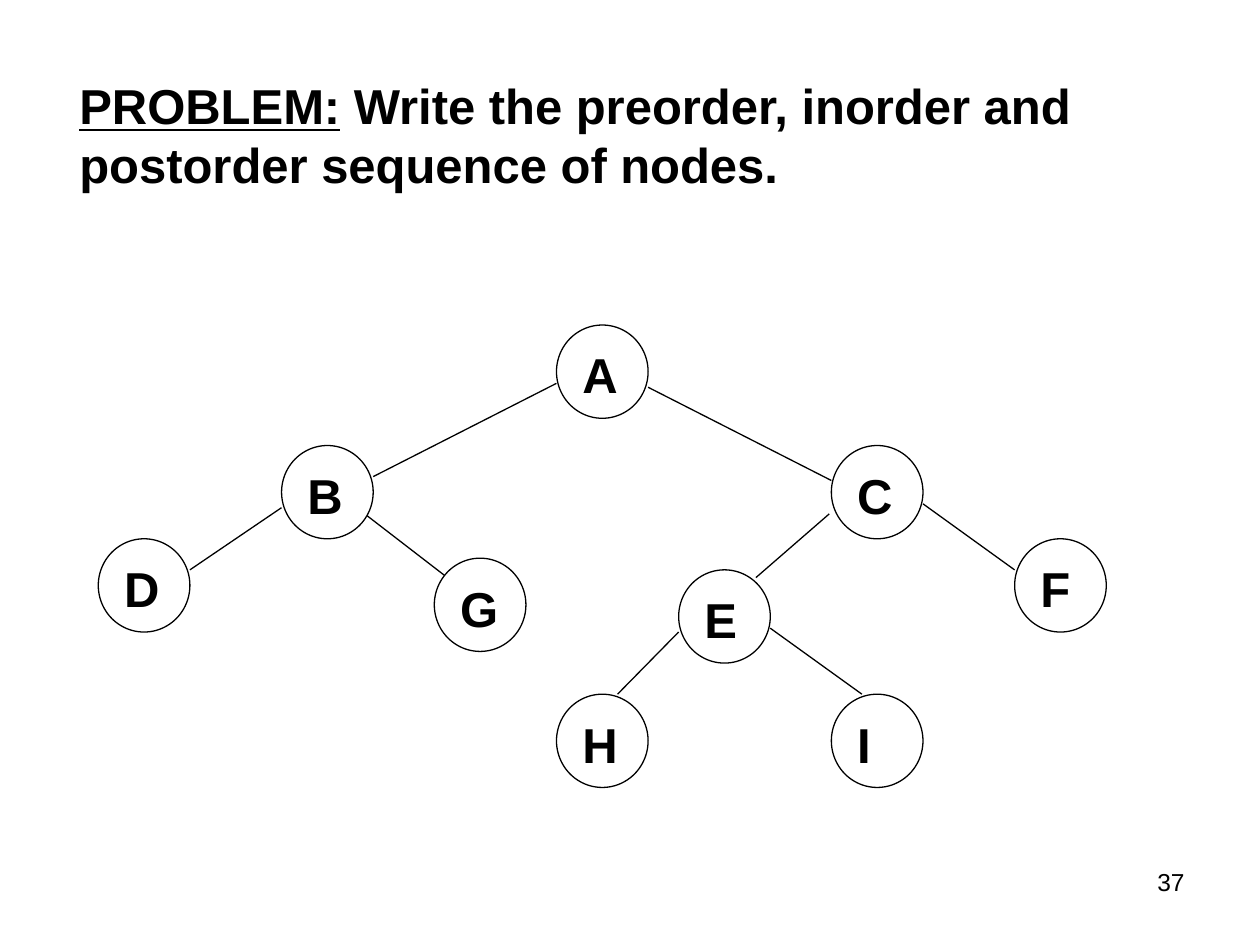
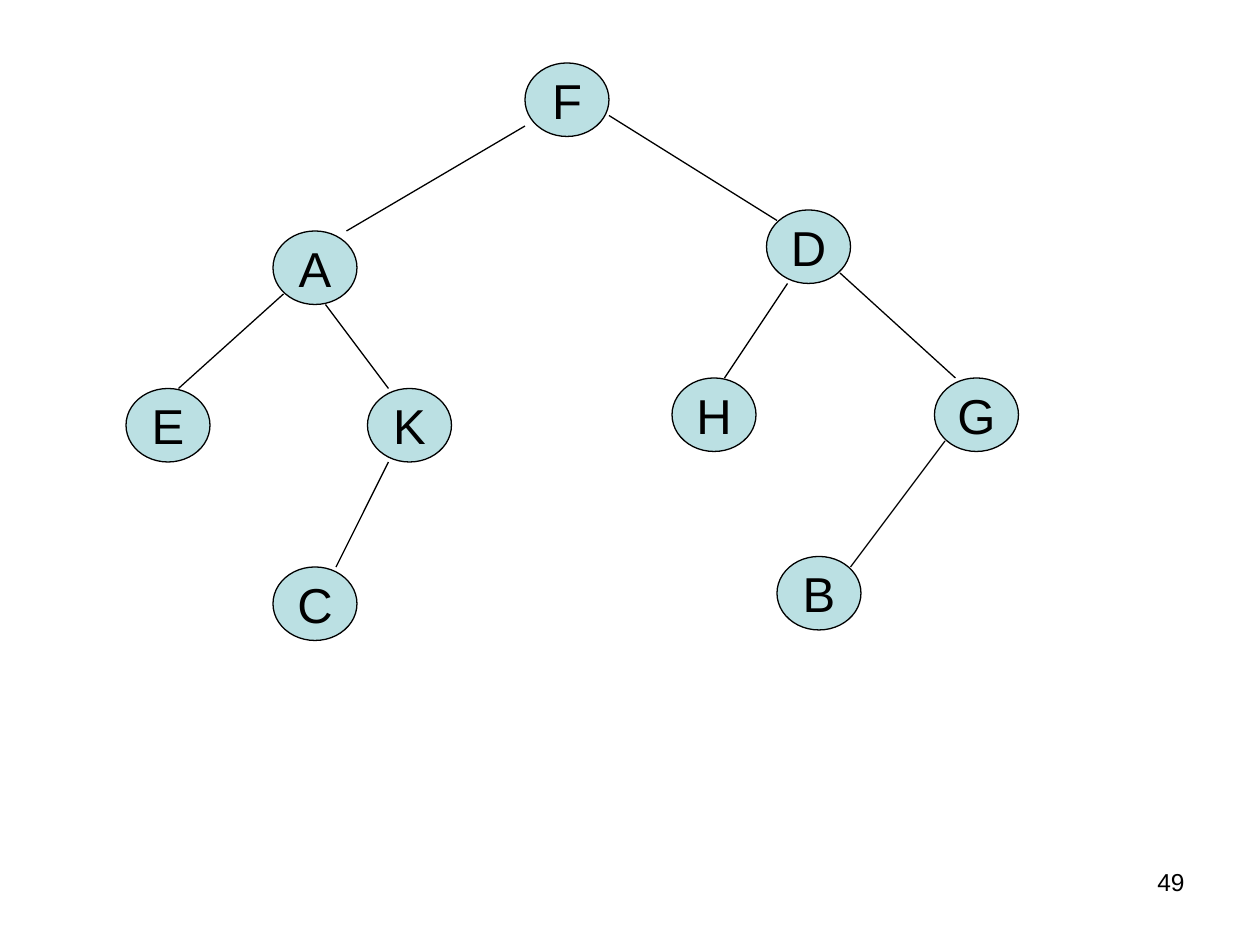
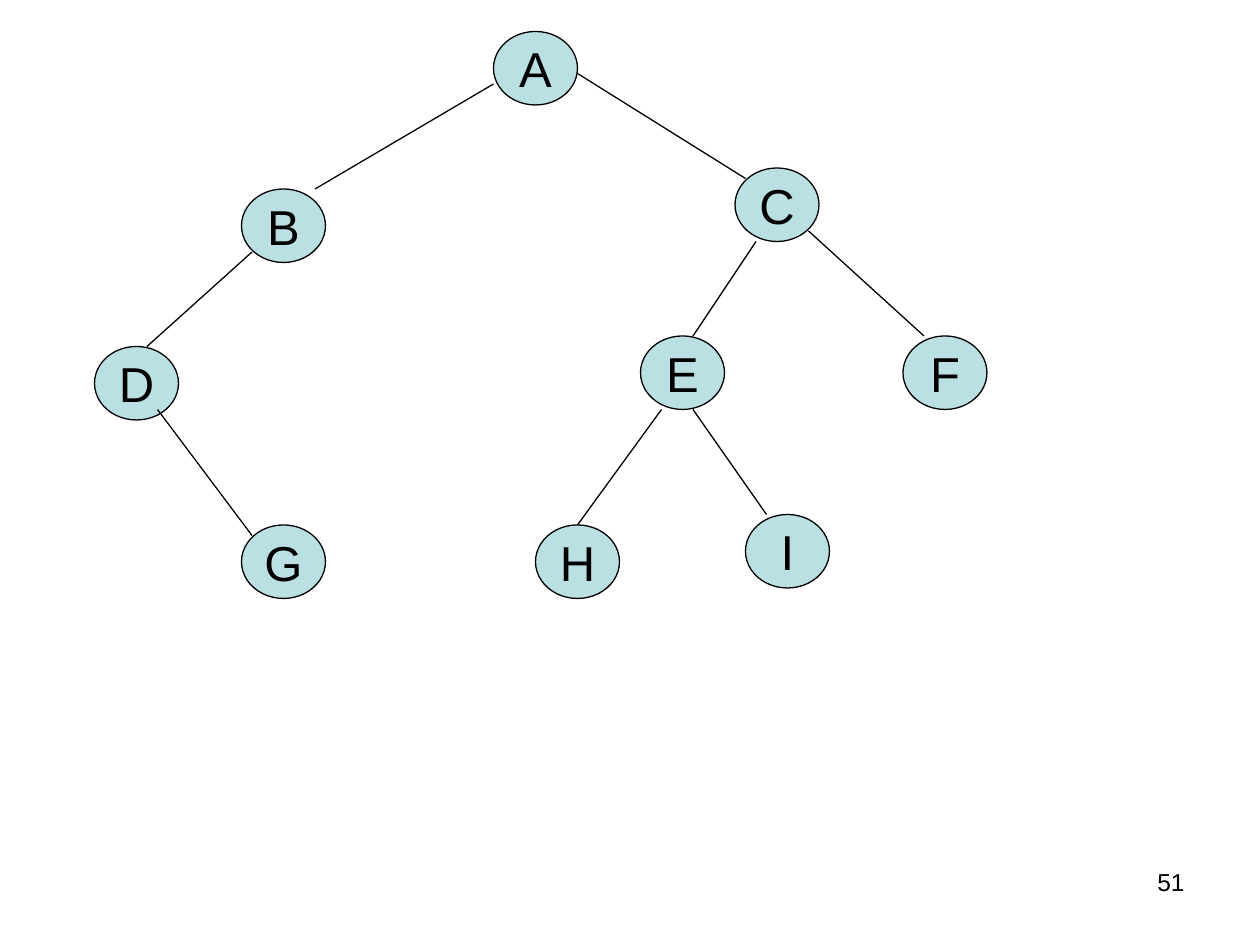
from dataclasses import dataclass

from lxml.etree import SubElement
from pptx import Presentation
from pptx.dml.color import RGBColor
from pptx.enum.shapes import MSO_CONNECTOR as Conn, MSO_SHAPE as Shape
from pptx.enum.text import MSO_ANCHOR as Anchor, MSO_AUTO_SIZE as Auto, PP_ALIGN as Align
from pptx.oxml.ns import qn
from pptx.util import Inches, Pt

WIDE, HIGH = 10, 7.5
FONT = "Arial"
COLORS = {"ink": "000000", "paper": "FFFFFF", "node": "BBE0E3"}


@dataclass
class Style:
    """Box and grid of a tree, and the look of its nodes."""
    box: tuple      # left, top, width, height in inches
    grid: tuple     # columns, rows
    node: tuple     # node size in columns, rows
    fill: str
    bold: bool
    mid: bool       # letters centred in the nodes
    under: bool     # edges lie below the nodes


PLAIN = Style((0.78, 2.58, 8, 3.67), (33, 119), (3, 24), "paper", True, False, True)
TINT = Style((0, 0, WIDE, HIGH), (120, 90), (8, 7), "node", False, True, False)

# Nodes: letter -> column, row.  Edges: start column, row, end column, row.
TASK = (
    {"A": (15, 0), "B": (6, 31), "C": (24, 31), "D": (0, 55), "G": (11, 60),
     "E": (19, 63), "F": (30, 55), "H": (15, 95), "I": (24, 95)},
    [(15, 15, 9, 39), (6, 47, 3, 63), (7.47, 41, 11.43, 65), (18, 16, 24, 40),
     (27, 46, 30, 63), (23.93, 48.6, 21.53, 65), (19, 79, 17, 95), (22, 78, 25, 95)],
)
FIRST = (
    {"F": (50, 6), "A": (26, 22), "D": (73, 20), "E": (12, 37), "K": (35, 37),
     "H": (64, 36), "G": (89, 36), "C": (26, 54), "B": (74, 53)},
    [(50, 12, 33, 22), (27, 28, 17, 37), (31, 29, 37, 37), (37, 44, 32, 54),
     (58, 11, 74, 21), (75, 27, 69, 36), (80, 26, 91, 36), (90, 42, 81, 54)],
)
SECOND = (
    {"A": (47, 3), "B": (23, 18), "C": (70, 16), "D": (9, 33), "E": (61, 32),
     "F": (86, 32), "G": (23, 50), "H": (51, 50), "I": (71, 49)},
    [(47, 8, 30, 18), (24, 24, 14, 33), (15, 39, 24, 51), (55, 7, 71, 17),
     (72, 23, 66, 32), (77, 22, 88, 32), (63, 39, 55, 50), (66, 39, 73, 49)],
)


def tone(name):
    return RGBColor.from_string(COLORS[name])


def add_run(para, text, size, bold=False, under=False):
    run = para.add_run()
    run.text = text
    font = run.font
    font.name, font.size, font.bold, font.underline = FONT, Pt(size), bold, under
    font.color.rgb = tone("ink")


def set_line(line):
    line.color.rgb = tone("ink")
    line.width = Pt(0.75)


def add_title(slide, box, parts):
    title = slide.shapes.title
    title.left, title.top, title.width, title.height = map(Inches, box)
    frame = title.text_frame
    frame.auto_size = Auto.NONE
    frame.word_wrap = True
    frame.vertical_anchor = Anchor.TOP
    para = frame.paragraphs[0]
    para.alignment = Align.LEFT
    for text, under in parts:
        add_run(para, text, 28, True, under)


def add_number(slide, num):
    box = slide.shapes.add_textbox(*map(Inches, (7.17, 6.83, 2.33, 0.52)))
    box.text_frame.word_wrap = True
    para = box.text_frame.paragraphs[0]
    para.alignment = Align.RIGHT
    add_run(para, str(num), 14)


def add_tree(slide, style, nodes, edges):
    left, top, width, height = style.box
    cols, rows = style.grid

    def spot(col, row):
        return Inches(left + col * width / cols), Inches(top + row * height / rows)

    size = [Inches(span * count / total) for span, count, total
            in zip((width, height), style.node, style.grid)]

    def draw_nodes():
        for name, cell in nodes.items():
            oval = slide.shapes.add_shape(Shape.OVAL, *spot(*cell), *size)
            oval.shadow.inherit = False
            oval.fill.solid()
            oval.fill.fore_color.rgb = tone(style.fill)
            set_line(oval.line)
            frame = oval.text_frame
            frame.word_wrap = not style.mid
            frame.vertical_anchor = Anchor.MIDDLE if style.mid else Anchor.TOP
            para = frame.paragraphs[0]
            para.alignment = Align.CENTER if style.mid else Align.LEFT
            add_run(para, name, 28, style.bold)

    def draw_edges():
        for x1, y1, x2, y2 in edges:
            edge = slide.shapes.add_connector(Conn.STRAIGHT, *spot(x1, y1), *spot(x2, y2))
            set_line(edge.line)
            SubElement(edge._element.spPr, qn("a:effectLst"))

    steps = (draw_edges, draw_nodes) if style.under else (draw_nodes, draw_edges)
    for step in steps:
        step()


def main():
    deck = Presentation()
    deck.slide_width, deck.slide_height = Inches(WIDE), Inches(HIGH)
    titled, blank = deck.slide_layouts[5], deck.slide_layouts[6]

    for num, layout, style, tree in ((37, titled, PLAIN, TASK),
                                     (49, blank, TINT, FIRST),
                                     (51, blank, TINT, SECOND)):
        slide = deck.slides.add_slide(layout)
        add_number(slide, num)
        add_tree(slide, style, *tree)
        if layout is titled:
            add_title(slide, (0.53, 0.55, 8.5, 1.03), [
                ("PROBLEM:", True),
                (" Write the preorder, inorder and postorder sequence of nodes.", False)])

    deck.save("out.pptx")


if __name__ == "__main__":
    main()
